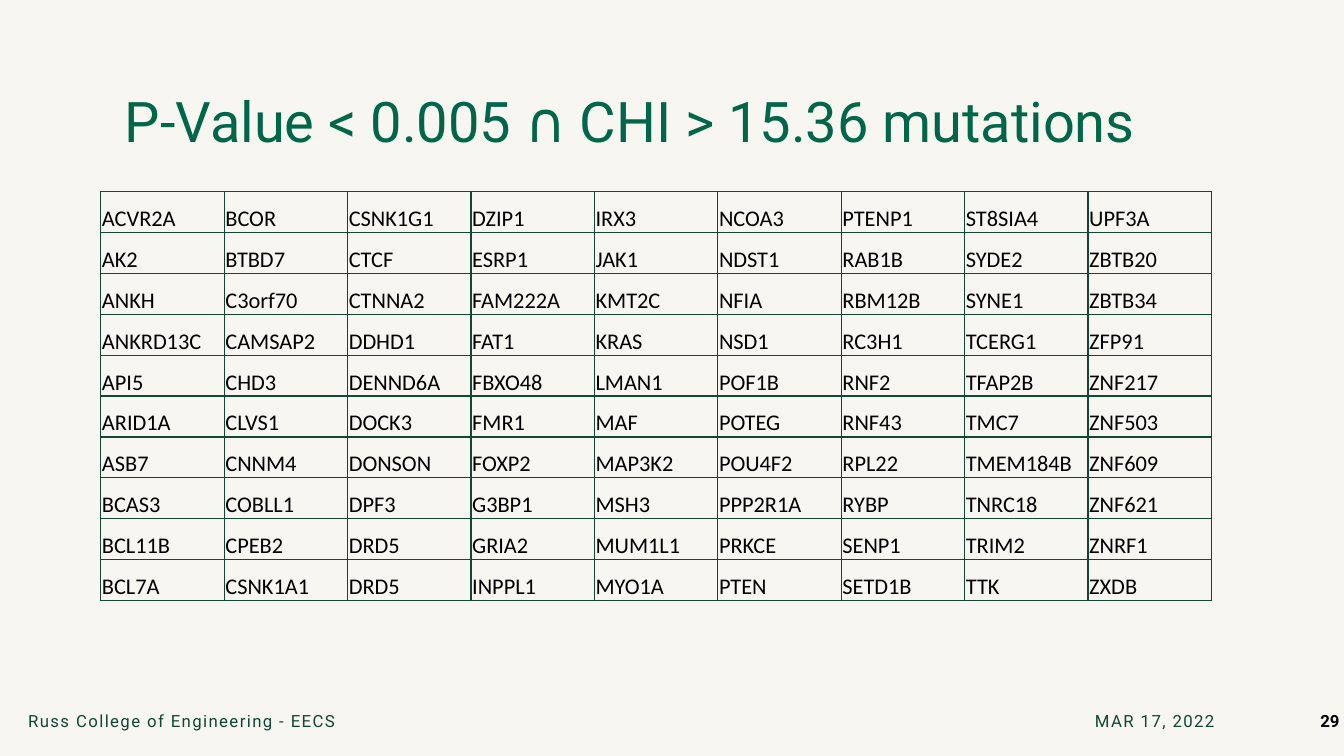
from dataclasses import dataclass

from lxml import etree
from pptx import Presentation
from pptx.dml.color import RGBColor
from pptx.enum import text as t
from pptx.oxml import ns
from pptx.util import Cm, Pt


@dataclass(frozen=True)
class Theme:
    paper: str = "F8F6F0"
    green: str = "006649"
    dark: str = "114735"
    black: str = "000000"
    head: str = "Roboto"
    body: str = "Calibri"
    title: int = 40
    cell: int = 16
    foot: int = 12


THEME = Theme()

# One line per table column, read downwards
GENES = [line.split() for line in (
    "ACVR2A AK2 ANKH ANKRD13C API5 ARID1A ASB7 BCAS3 BCL11B BCL7A",
    "BCOR BTBD7 C3orf70 CAMSAP2 CHD3 CLVS1 CNNM4 COBLL1 CPEB2 CSNK1A1",
    "CSNK1G1 CTCF CTNNA2 DDHD1 DENND6A DOCK3 DONSON DPF3 DRD5 DRD5",
    "DZIP1 ESRP1 FAM222A FAT1 FBXO48 FMR1 FOXP2 G3BP1 GRIA2 INPPL1",
    "IRX3 JAK1 KMT2C KRAS LMAN1 MAF MAP3K2 MSH3 MUM1L1 MYO1A",
    "NCOA3 NDST1 NFIA NSD1 POF1B POTEG POU4F2 PPP2R1A PRKCE PTEN",
    "PTENP1 RAB1B RBM12B RC3H1 RNF2 RNF43 RPL22 RYBP SENP1 SETD1B",
    "ST8SIA4 SYDE2 SYNE1 TCERG1 TFAP2B TMC7 TMEM184B TNRC18 TRIM2 TTK",
    "UPF3A ZBTB20 ZBTB34 ZFP91 ZNF217 ZNF503 ZNF609 ZNF621 ZNRF1 ZXDB",
)]


def add_run(para, words, face, size, color, bold=False):
    run = para.add_run()
    run.text = words
    run.font.name = face
    run.font.size = Pt(size)
    run.font.bold = bold
    run.font.color.rgb = RGBColor.from_string(color)
    return run


def add_box(slide, left, top, width, height, anchor, align):
    """Add a wrapped text box and return its first paragraph."""
    frame = slide.shapes.add_textbox(
        Cm(left), Cm(top), Cm(width), Cm(height)).text_frame
    frame.word_wrap = True
    frame.vertical_anchor = anchor
    para = frame.paragraphs[0]
    para.alignment = align
    return para


def add_title(slide, words):
    para = add_box(slide, 2.9, 1.88, 27.97, 2.13,
                   t.MSO_ANCHOR.BOTTOM, t.PP_ALIGN.LEFT)
    para.line_spacing = Pt(THEME.title)
    add_run(para, words, THEME.head, THEME.title, THEME.green)


def add_foot(slide, words, left, width, align, color, bold=False, gap=0):
    """Add a footer text; gap is the letter spacing in points."""
    para = add_box(slide, left, 17.65, width, 1.02,
                   t.MSO_ANCHOR.MIDDLE, align)
    run = add_run(para, words, THEME.head, THEME.foot, color, bold)
    if gap:
        run.font._element.set("spc", str(gap * 100))


def add_edges(cell):
    """Draw a thin dark line on all four sides of a cell."""
    props = cell._tc.get_or_add_tcPr()
    for i, side in enumerate(("lnL", "lnR", "lnT", "lnB")):
        line = etree.Element(ns.qn("a:" + side), w=str(Pt(1)))
        fill = etree.SubElement(line, ns.qn("a:solidFill"))
        etree.SubElement(fill, ns.qn("a:srgbClr"), val=THEME.dark)
        props.insert(i, line)


def fill_cell(cell, gene):
    cell.fill.background()
    cell.margin_left = cell.margin_right = cell.margin_top = Cm(0.03)
    cell.margin_bottom = 0
    cell.vertical_anchor = t.MSO_ANCHOR.BOTTOM
    add_run(cell.text_frame.paragraphs[0], gene,
            THEME.body, THEME.cell, THEME.black)
    add_edges(cell)


def add_genes(slide, left, top, wide, high):
    """Add the gene table with columns and rows of equal size."""
    cols, rows = len(GENES), len(GENES[0])
    table = slide.shapes.add_table(
        rows, cols, Cm(left), Cm(top), Cm(wide * cols), Cm(high * rows)).table
    table.first_row = table.horz_banding = False
    for col in table.columns:
        col.width = Cm(wide)
    for row in table.rows:
        row.height = Cm(high)
    for c, genes in enumerate(GENES):
        for r, gene in enumerate(genes):
            fill_cell(table.cell(r, c), gene)


def main():
    deck = Presentation()
    deck.slide_width, deck.slide_height = Cm(33.87), Cm(19.05)
    slide = deck.slides.add_slide(deck.slide_layouts[6])
    back = slide.background.fill
    back.solid()
    back.fore_color.rgb = RGBColor.from_string(THEME.paper)

    add_genes(slide, 2.54, 4.83, 3.11, 1.03)
    add_title(slide, "P-Value < 0.005 ∩ CHI > 15.36 mutations")
    left, right = t.PP_ALIGN.LEFT, t.PP_ALIGN.RIGHT
    add_foot(slide, "MAR 17, 2022", 22.83, 8.03, right, THEME.dark, gap=1)
    add_foot(slide, "Russ College of Engineering - EECS",
             0.46, 22.17, left, THEME.dark, gap=1)
    add_foot(slide, "29", 32.77, 1.24, right, THEME.black, bold=True)
    deck.save("out.pptx")


if __name__ == "__main__":
    main()
